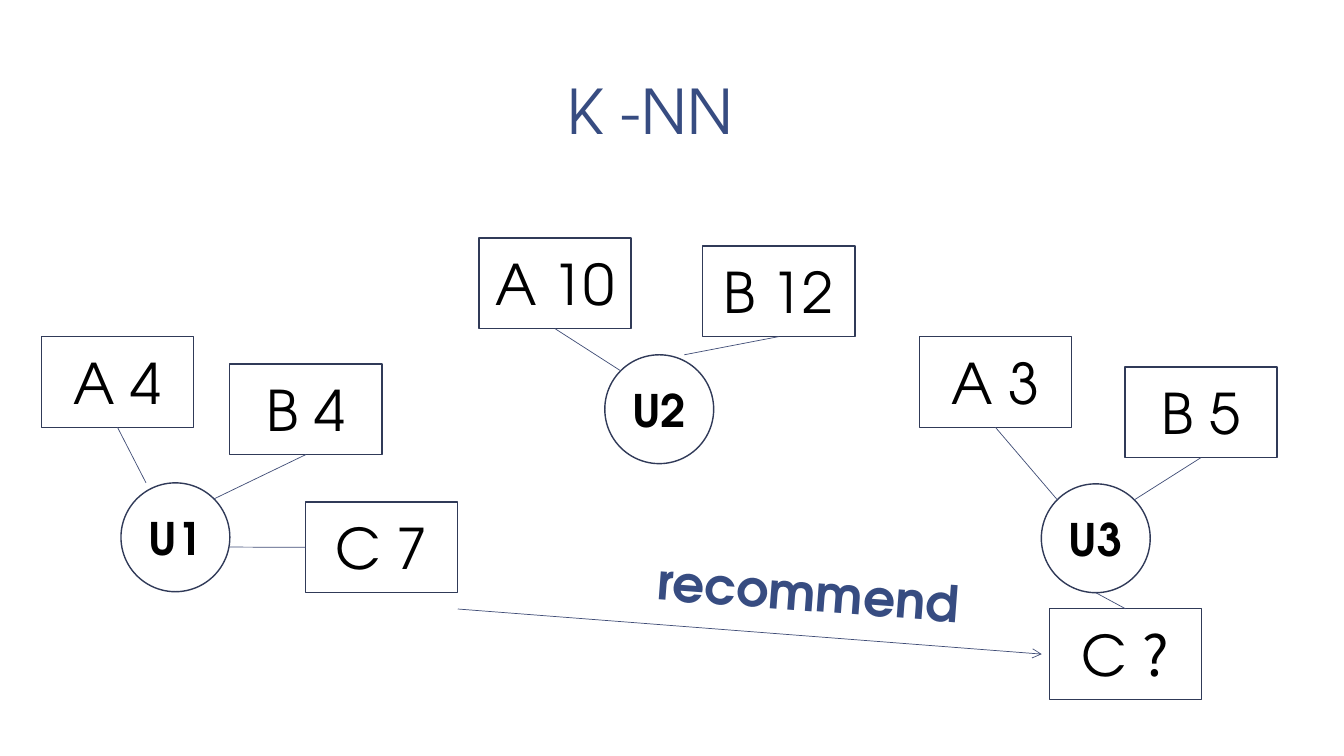
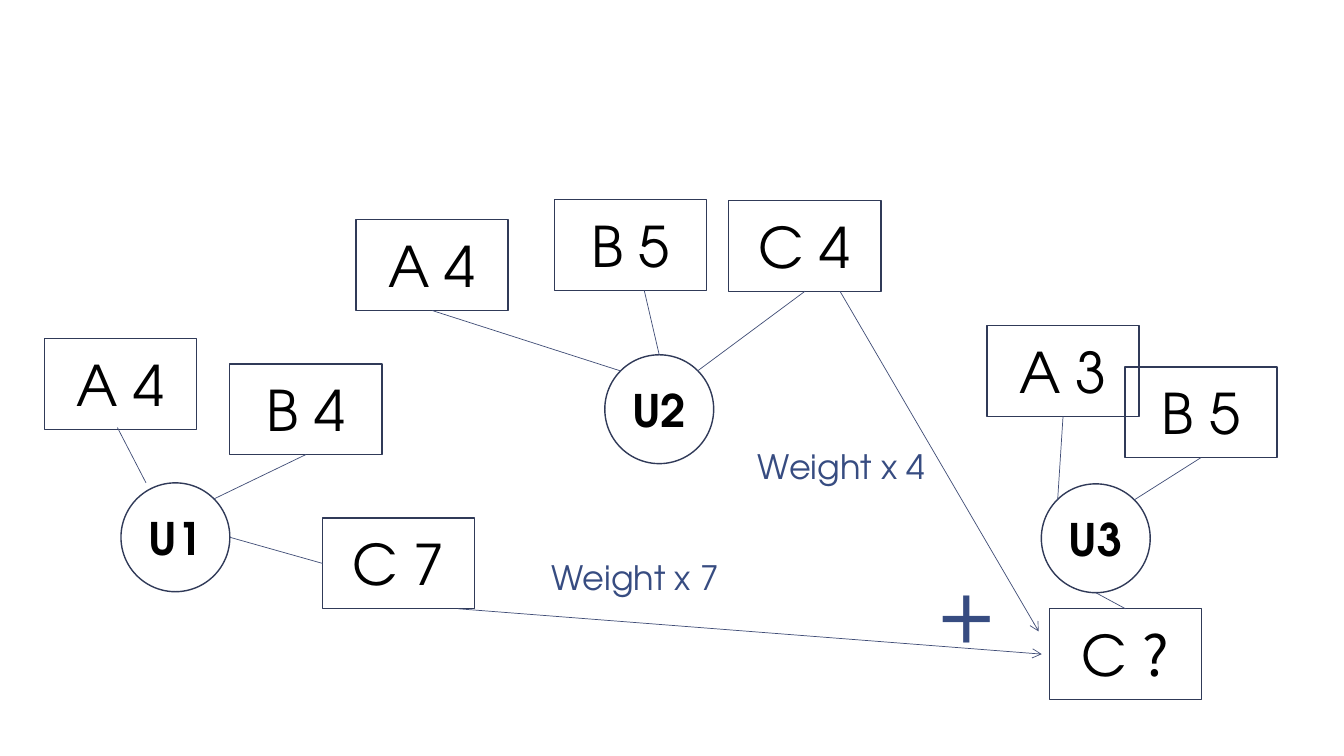
from lxml import etree
from pptx import Presentation
from pptx.dml.color import RGBColor
from pptx.enum.shapes import MSO_CONNECTOR, MSO_SHAPE
from pptx.enum.text import MSO_ANCHOR, PP_ALIGN
from pptx.oxml.ns import qn
from pptx.util import Inches, Pt

RECT, OVAL = MSO_SHAPE.RECTANGLE, MSO_SHAPE.OVAL
LINE = MSO_CONNECTOR.STRAIGHT
MID, LOW, TOP = MSO_ANCHOR.MIDDLE, MSO_ANCHOR.BOTTOM, MSO_ANCHOR.TOP
LEFT, MIDDLE = PP_ALIGN.LEFT, PP_ALIGN.CENTER

# Shared style
FONT, MARK = "TeX Gyre Adventor", "Noto Sans CJK KR"
BLUE, EDGE, LINK, INK = "374C81", "303A58", "414E77", "000000"
color = RGBColor.from_string

deck = Presentation()
deck.slide_width, deck.slide_height = Inches(13.33), Inches(7.5)
COL, ROW = deck.slide_width / 100, deck.slide_height / 100  # percent grid

# Sizes in columns and rows
CARD, RING = (11.33, 12), (8.1, 14.4)
USERS = {"U1": (9, 63.87), "U2": (45, 46.93), "U3": (77.48, 64)}

# Spots on a shape, as shares of its width and height
N, S, E, W = (0.5, 0), (0.5, 1), (1, 0.5), (0, 0.5)
NW, NE = (0.15, 0.15), (0.85, 0.15)

# Cards: user, item, score, column, row, link spot on card, link spot on user
BOTH = [
    ("U1", "B", "4", 17.1, 48.13, S, NE),
    ("U3", "B", "5", 83.7, 48.53, S, NE),
    ("U3", "C", "?", 78.08, 80.53, N, S),
]
FIRST = [
    ("U1", "A", "4", 3.08, 44.53, S, (0.23, 0)),
    ("U1", "C", "7", 22.73, 66.4, W, (1, 0.59)),
    ("U2", "A", "10", 35.63, 31.47, S, NW),
    ("U2", "B", "12", 52.28, 32.53, S, (0.73, 0)),
    ("U3", "A", "3", 68.4, 44.53, S, NW),
]
SECOND = [
    ("U1", "A", "4", 3.3, 44.8, (0.48, 0.98), (0.23, 0)),
    ("U1", "C", "7", 24, 68.53, W, E),
    ("U2", "A", "4", 26.48, 29.07, S, NW),
    ("U2", "B", "5", 41.25, 26.4, (0.59, 1), N),
    ("U2", "C", "4", 54.23, 26.53, S, NE),
    ("U3", "A", "3", 73.43, 43.07, S, NW),
]

# Arrows to the unknown card: user, spot on card C, spot on the goal
# Labels: text, size, bold, column, row, width, height, turn, anchor
PAGES = [
    (FIRST, [("U1", (1, 1.18), (-0.05, 0.5))],
     [("K -NN", 44, False, 41.25, 0, 19.35, 20.4, 0, LOW),
      ("recommend", 36, True, 48.15, 73.6, 24.38, 9.47, 4.4, TOP)]),
    (SECOND, [("U1", (0.89, 1), (-0.05, 0.5)), ("U2", (0.73, 1), (-0.07, 0.25))],
     [("Weight x 7", 24, False, 40.28, 73.07, 15.3, 6.67, 0, TOP),
      ("Weight x 4", 24, False, 55.65, 58.27, 15.3, 6.67, 0, TOP),
      ("+", 60, False, 68.93, 72.93, 15.3, 14.8, 0, TOP)]),
]


def put(page, kind, at, size, runs, points, bold=False, hue=INK, anchor=MID):
    """Add an outlined shape, or a text box if kind is None."""
    place = [int(v) for v in (at[0] * COL, at[1] * ROW, size[0] * COL, size[1] * ROW)]
    if kind is None:
        item = page.shapes.add_textbox(*place)
    else:
        item = page.shapes.add_shape(kind, *place)
        item.shadow.inherit = False
        item.fill.background()
        item.line.color.rgb, item.line.width = color(EDGE), Pt(1)
    frame = item.text_frame
    frame.word_wrap = kind is None
    frame.vertical_anchor = anchor
    para = frame.paragraphs[0]
    para.alignment = LEFT if kind is None else MIDDLE
    for text, face in runs:
        run = para.add_run()
        run.text = text
        font = run.font
        font.name, font.size, font.bold = face, Pt(points), bold
        font.color.rgb = color(hue)
    return item


def join(page, box, spot, goal, end, arrow=False):
    """Draw a line between spots on two (corner, size) boxes."""
    ends = [int((at[i] + size[i] * share[i]) * step)
            for (at, size), share in ((box, spot), (goal, end))
            for i, step in enumerate((COL, ROW))]
    wire = page.shapes.add_connector(LINE, *ends)
    wire.line.color.rgb, wire.line.width = color(LINK), Pt(0.5)
    if arrow:
        etree.SubElement(wire.line._get_or_add_ln(), qn("a:tailEnd"), type="arrow")
    etree.SubElement(wire._element.spPr, qn("a:effectLst"))


for cards, arrows, labels in PAGES:
    page = deck.slides.add_slide(deck.slide_layouts[6])

    # Users
    for name, at in USERS.items():
        put(page, OVAL, at, RING, [(name, FONT)], 32, True)

    # Cards with their links
    boxes = {}
    for user, item, score, x, y, spot, end in BOTH + cards:
        box = boxes[user, item] = ((x, y), CARD)
        face = MARK if score == "?" else FONT
        put(page, RECT, *box, [(item + " ", FONT), (score, face)], 40)
        join(page, box, spot, (USERS[user], RING), end)

    # Arrows
    for user, spot, end in arrows:
        join(page, boxes[user, "C"], spot, boxes["U3", "C"], end, True)

    # Title and labels
    for text, points, bold, x, y, wide, high, turn, anchor in labels:
        label = put(page, None, (x, y), (wide, high), [(text, FONT)],
                    points, bold, BLUE, anchor)
        label.rotation = turn
        if anchor == LOW:
            label.text_frame.margin_left = Inches(0.13)
            label.text_frame.margin_bottom = Inches(0.07)
            label.text_frame.paragraphs[0].line_spacing = 0.85

deck.save("out.pptx")
